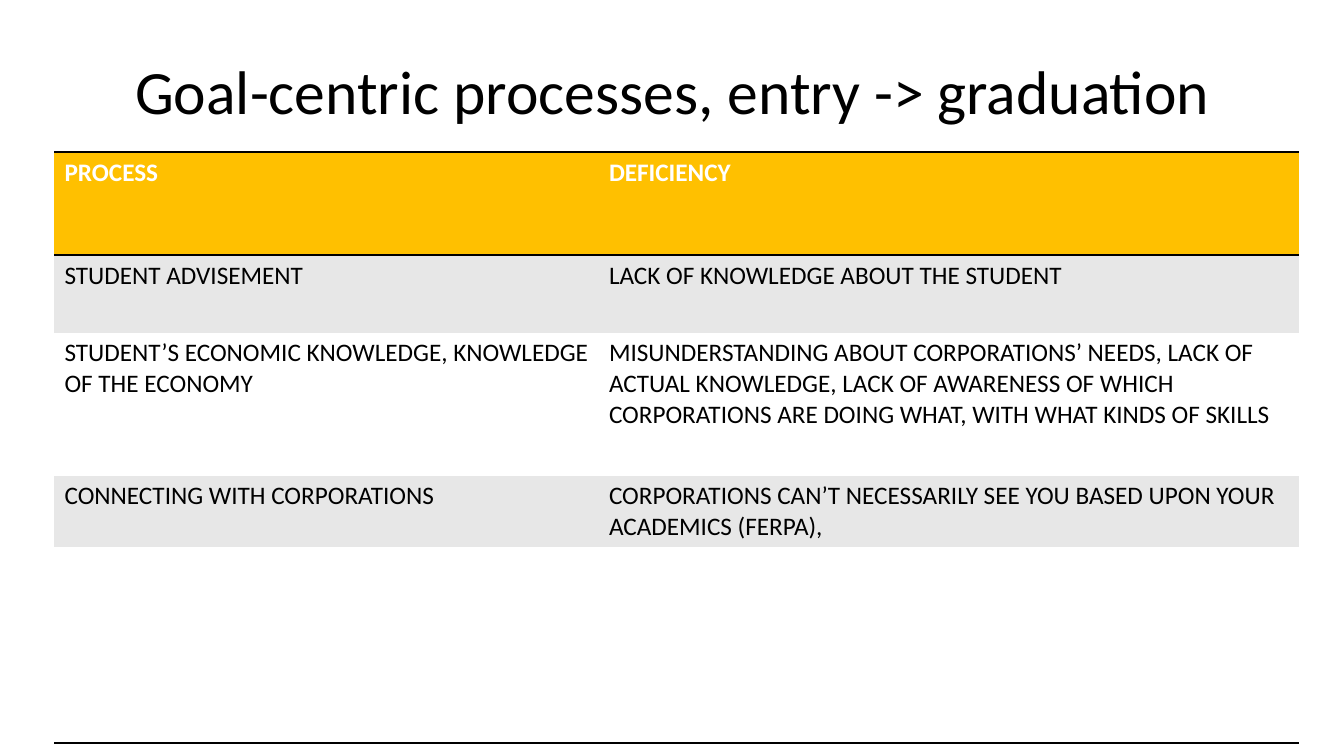
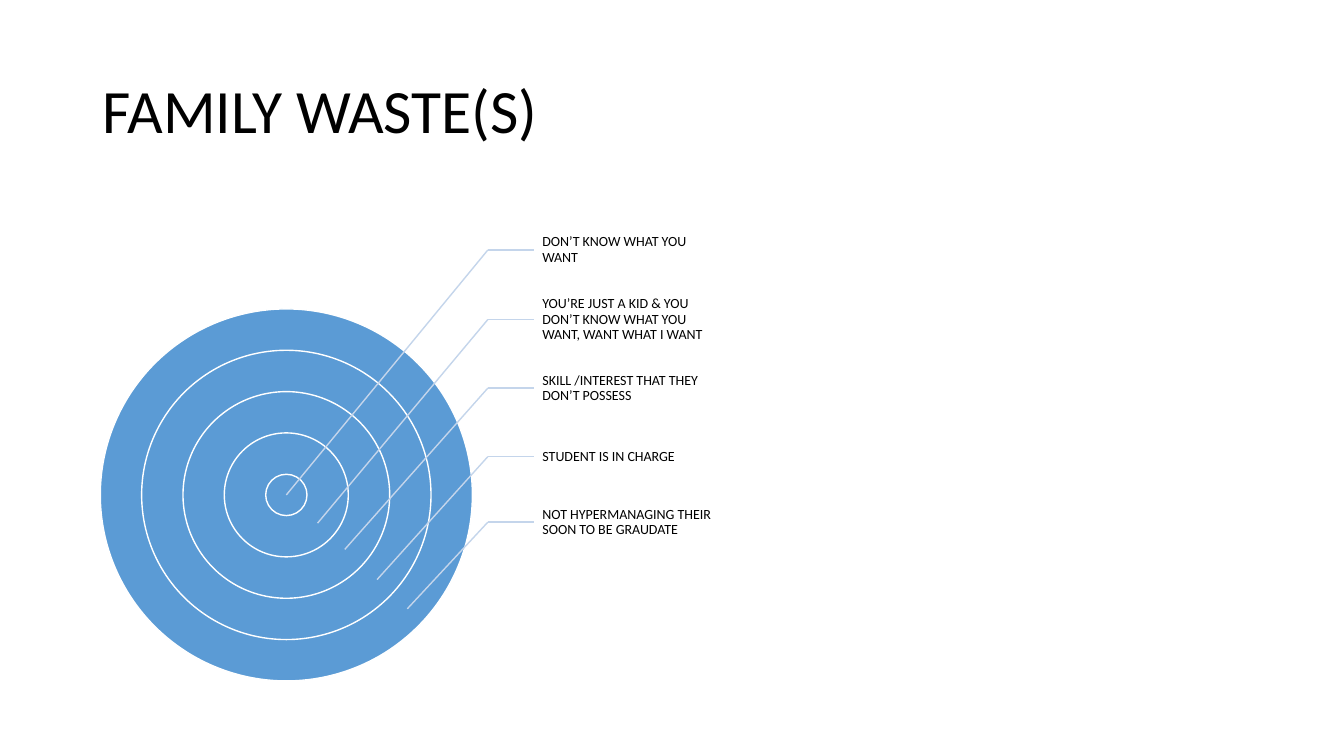
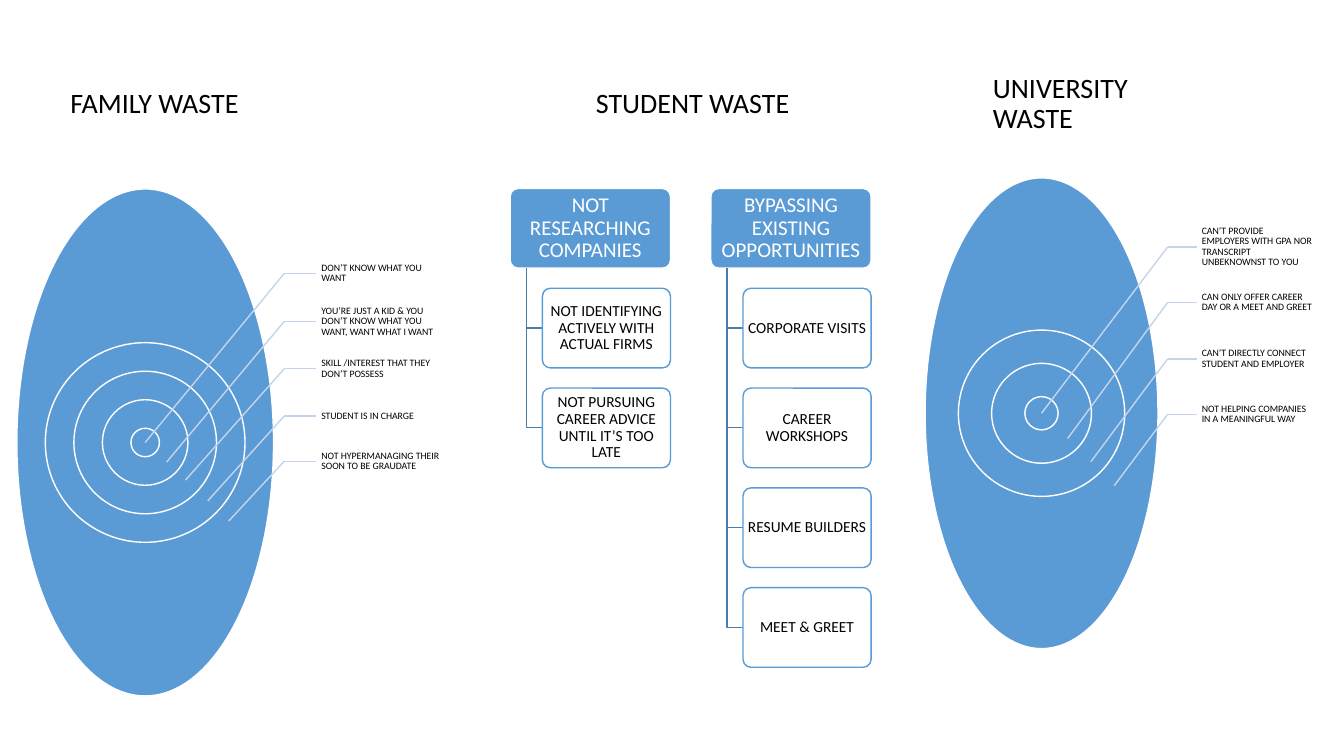
"""Build three slides on waste in the path from entry to graduation."""
from dataclasses import dataclass

from lxml import etree
from pptx import Presentation
from pptx.dml.color import RGBColor
from pptx.enum import shapes, text
from pptx.oxml import ns
from pptx.util import Inches, Pt


@dataclass(frozen=True)
class Theme:
    font: str = "Calibri"
    black: str = "000000"
    white: str = "FFFFFF"
    blue: str = "5B9BD5"
    leader: str = "C4D5EB"
    branch: str = "497CAB"
    gold: str = "FFC000"
    band: str = "E7E7E7"
    title: int = 44
    heading: int = 20
    table: int = 18
    tree_head: int = 15
    tree_item: int = 11
    label: int = 10
    small_label: int = 7
    line: int = 1
    rule: int = 2


THEME = Theme()

PROCESS_ROWS = [
    ("PROCESS", "DEFICIENCY"),
    ("STUDENT ADVISEMENT", "LACK OF KNOWLEDGE ABOUT THE STUDENT"),
    ("STUDENT’S ECONOMIC KNOWLEDGE, KNOWLEDGE OF THE ECONOMY",
     "MISUNDERSTANDING ABOUT CORPORATIONS’ NEEDS, LACK OF ACTUAL KNOWLEDGE, "
     "LACK OF AWARENESS OF WHICH CORPORATIONS ARE DOING WHAT, WITH WHAT KINDS OF SKILLS"),
    ("CONNECTING WITH CORPORATIONS",
     "CORPORATIONS CAN’T NECESSARILY SEE YOU BASED UPON YOUR ACADEMICS (FERPA),"),
    ("", ""),
]
COLUMN_WIDTHS = (5.4, 6.94)
ROW_HEIGHTS = (1.02, 0.77, 1.42, 0.7, 1.94)

FAMILY = {
    "diameter": 3.69,
    "label_height": 0.65,
    "callouts": [
        ("DON’T KNOW WHAT YOU WANT", -2.43, (0, 0)),
        ("YOU’RE JUST A KID & YOU DON’T KNOW WHAT YOU WANT, WANT WHAT I WANT",
         -1.74, (0.31, 0.28)),
        ("SKILL /INTEREST THAT THEY DON’T POSSESS", -1.06, (0.58, 0.54)),
        ("STUDENT IS IN CHARGE", -0.38, (0.9, 0.84)),
        ("NOT HYPERMANAGING THEIR SOON TO BE GRAUDATE", 0.27, (1.2, 1.13)),
    ],
}
UNIVERSITY = {
    "diameter": 2.31,
    "label_height": 0.55,
    "callouts": [
        ("CAN’T PROVIDE EMPLOYERS WITH GPA NOR TRANSCRIPT UNBEKNOWNST TO YOU",
         -1.65, (0, 0)),
        ("CAN ONLY OFFER CAREER DAY OR A MEET AND GREET", -1.1, (0.26, 0.25)),
        ("CAN’T DIRECTLY CONNECT STUDENT AND EMPLOYER", -0.54, (0.49, 0.48)),
        ("NOT HELPING COMPANIES IN A MEANINGFUL WAY", 0.01, (0.72, 0.72)),
    ],
}
STUDENT_TREES = [
    ("NOT RESEARCHING COMPANIES",
     ["NOT IDENTIFYING ACTIVELY WITH ACTUAL FIRMS",
      "NOT PURSUING CAREER ADVICE UNTIL IT’S TOO LATE"]),
    ("BYPASSING EXISTING OPPORTUNITIES",
     ["CORPORATE VISITS", "CAREER WORKSHOPS", "RESUME BUILDERS", "MEET & GREET"]),
]


def rgb(color):
    return RGBColor.from_string(color)


def write(shape, content, size, color=THEME.black, align=text.PP_ALIGN.LEFT, insets=None):
    frame = shape.text_frame
    frame.text = content
    frame.word_wrap = True
    frame.auto_size = text.MSO_AUTO_SIZE.NONE
    frame.vertical_anchor = text.MSO_ANCHOR.MIDDLE
    if insets:
        frame.margin_left, frame.margin_top, frame.margin_right, frame.margin_bottom = map(
            Inches, insets)
    paragraph = frame.paragraphs[0]
    paragraph.alignment = align
    paragraph.line_spacing = 0.9
    style_font(paragraph.font, size, color)


def style_font(font, size, color, bold=False):
    font.name, font.size, font.bold = THEME.font, Pt(size), bold
    font.color.rgb = rgb(color)


def add_text(slide, box, content, size, insets=None):
    shape = slide.shapes.add_textbox(*map(Inches, box))
    write(shape, content, size, insets=insets)
    return shape


def add_titled_slide(presentation, title, box, size=THEME.title):
    slide = presentation.slides.add_slide(presentation.slide_layouts[5])
    shape = slide.shapes.title
    shape.left, shape.top, shape.width, shape.height = map(Inches, box)
    write(shape, title, size)
    return slide


def add_filled(slide, kind, box, fill, line):
    shape = slide.shapes.add_shape(kind, *map(Inches, box))
    shape.shadow.inherit = False
    shape.fill.solid()
    shape.fill.fore_color.rgb = rgb(fill)
    shape.line.color.rgb = rgb(line)
    shape.line.width = Pt(THEME.line)
    return shape


def add_leader(slide, start, end):
    connector = slide.shapes.add_connector(
        shapes.MSO_CONNECTOR.STRAIGHT, *map(Inches, (*start, *end)))
    connector.line.color.rgb = rgb(THEME.leader)
    connector.line.width = Pt(THEME.line)
    etree.SubElement(connector._element.spPr, ns.qn("a:effectLst"))
    return connector


def add_target(slide, target, center, size, scale=1, outer_height=None):
    x, y = center
    callouts = target["callouts"]
    diameter = target["diameter"] * scale
    step = diameter / (2 * len(callouts) - 1)
    label_left = x + diameter * 2 / 3
    elbow = label_left - diameter / 8
    label_height = target["label_height"] * scale
    inset = 0.08 if size == THEME.label else 0.05

    for index in range(len(callouts)):
        width = diameter - 2 * step * index
        height = outer_height if outer_height and index == 0 else width
        add_filled(slide, shapes.MSO_SHAPE.OVAL,
                   (x - width / 2, y - height / 2, width, height), THEME.blue, THEME.white)
    for content, rise, (tip_x, tip_y) in callouts:
        level = y + rise * scale
        label = add_text(
            slide, (label_left, level - label_height / 2, diameter / 2, label_height),
            content, size, (inset, 0.01, 0.01, 0.01))
        add_leader(slide, (elbow, level), (label_left, level)).end_connect(label, 1)
        add_leader(slide, (elbow, level), (x + tip_x * scale, y + tip_y * scale))


def add_card(slide, box, content, fill, line, size, color):
    card = add_filled(slide, shapes.MSO_SHAPE.ROUNDED_RECTANGLE, box, fill, line)
    card.adjustments[0] = 0.1
    write(card, content, size, color, text.PP_ALIGN.CENTER, (0.02,) * 4)
    return card


def add_tree(slide, left, head, items):
    top, height, pitch, indent = 1.87, 0.79, 0.99, 0.16
    add_card(slide, (left, top, 1.59, height), head,
             THEME.blue, THEME.white, THEME.tree_head, THEME.white)
    trunk, item_left = left + indent, left + 2 * indent
    for index, item in enumerate(items, 1):
        item_top = top + index * pitch
        middle = item_top + height / 2
        builder = slide.shapes.build_freeform(Inches(trunk), Inches(top + height))
        builder.add_line_segments(
            [(Inches(trunk), Inches(middle)), (Inches(item_left), Inches(middle))], close=False)
        branch = builder.convert_to_shape()
        branch.shadow.inherit = False
        branch.fill.background()
        branch.line.color.rgb = rgb(THEME.branch)
        branch.line.width = Pt(THEME.line)
        card = add_card(slide, (item_left, item_top, 1.27, height), item,
                        THEME.white, THEME.blue, THEME.tree_item, THEME.black)
        fill_color = card._element.spPr.find(".//" + ns.qn("a:srgbClr"))
        etree.SubElement(fill_color, ns.qn("a:alpha"), val="90000")


def add_rules(cell, sides):
    properties = cell._tc.get_or_add_tcPr()
    for index, side in enumerate(sides):
        line = etree.Element(ns.qn(f"a:ln{side}"), w=str(Pt(THEME.rule)))
        fill = etree.SubElement(line, ns.qn("a:solidFill"))
        etree.SubElement(fill, ns.qn("a:srgbClr"), val=THEME.black)
        properties.insert(index, line)


def add_process_table(slide):
    frame = slide.shapes.add_table(
        len(ROW_HEIGHTS), len(COLUMN_WIDTHS), Inches(0.54), Inches(1.51),
        Inches(sum(COLUMN_WIDTHS)), Inches(sum(ROW_HEIGHTS)))
    table = frame.table
    table.horz_banding = False
    style = table._tbl.tblPr.find(ns.qn("a:tableStyleId"))
    style.text = "{2D5ABB26-0587-4C30-8999-92F81FD0307C}"
    for column, width in zip(table.columns, COLUMN_WIDTHS):
        column.width = Inches(width)
    last = len(PROCESS_ROWS) - 1
    for index, (values, height) in enumerate(zip(PROCESS_ROWS, ROW_HEIGHTS)):
        table.rows[index].height = Inches(height)
        header = index == 0
        fill = THEME.gold if header else THEME.band if index % 2 else THEME.white
        for cell, value in zip(table.rows[index].cells, values):
            cell.text = value
            cell.fill.solid()
            cell.fill.fore_color.rgb = rgb(fill)
            style_font(cell.text_frame.paragraphs[0].font, THEME.table,
                       THEME.white if header else THEME.black, header)
            add_rules(cell, "TB" if header else "B" if index == last else "")


def main():
    presentation = Presentation()
    presentation.slide_width, presentation.slide_height = Inches(13.33), Inches(7.5)

    slide = add_titled_slide(presentation, "Goal-centric processes, entry -> graduation",
                             (1.24, 0.21, 11.5, 1.45))
    add_process_table(slide)

    slide = add_titled_slide(presentation, "FAMILY WASTE(S)", (0.92, 0.4, 11.5, 1.45))
    add_target(slide, FAMILY, (2.84, 4.91), THEME.label)

    slide = add_titled_slide(presentation, "STUDENT WASTE", (5.81, 0.31, 2.3, 1.45),
                             THEME.heading)
    for index, (head, items) in enumerate(STUDENT_TREES):
        add_tree(slide, 5.06 + 1.99 * index, head, items)
    add_target(slide, FAMILY, (1.44, 4.39), THEME.small_label, 0.69, 5.03)
    add_target(slide, UNIVERSITY, (10.33, 4.1), THEME.small_label, outer_height=4.67)
    for left, heading in ((9.75, "UNIVERSITY WASTE"), (0.6, "FAMILY WASTE")):
        add_text(slide, (left, 0.31, 2.3, 1.45), heading, THEME.heading)

    presentation.save("out.pptx")


if __name__ == "__main__":
    main()
